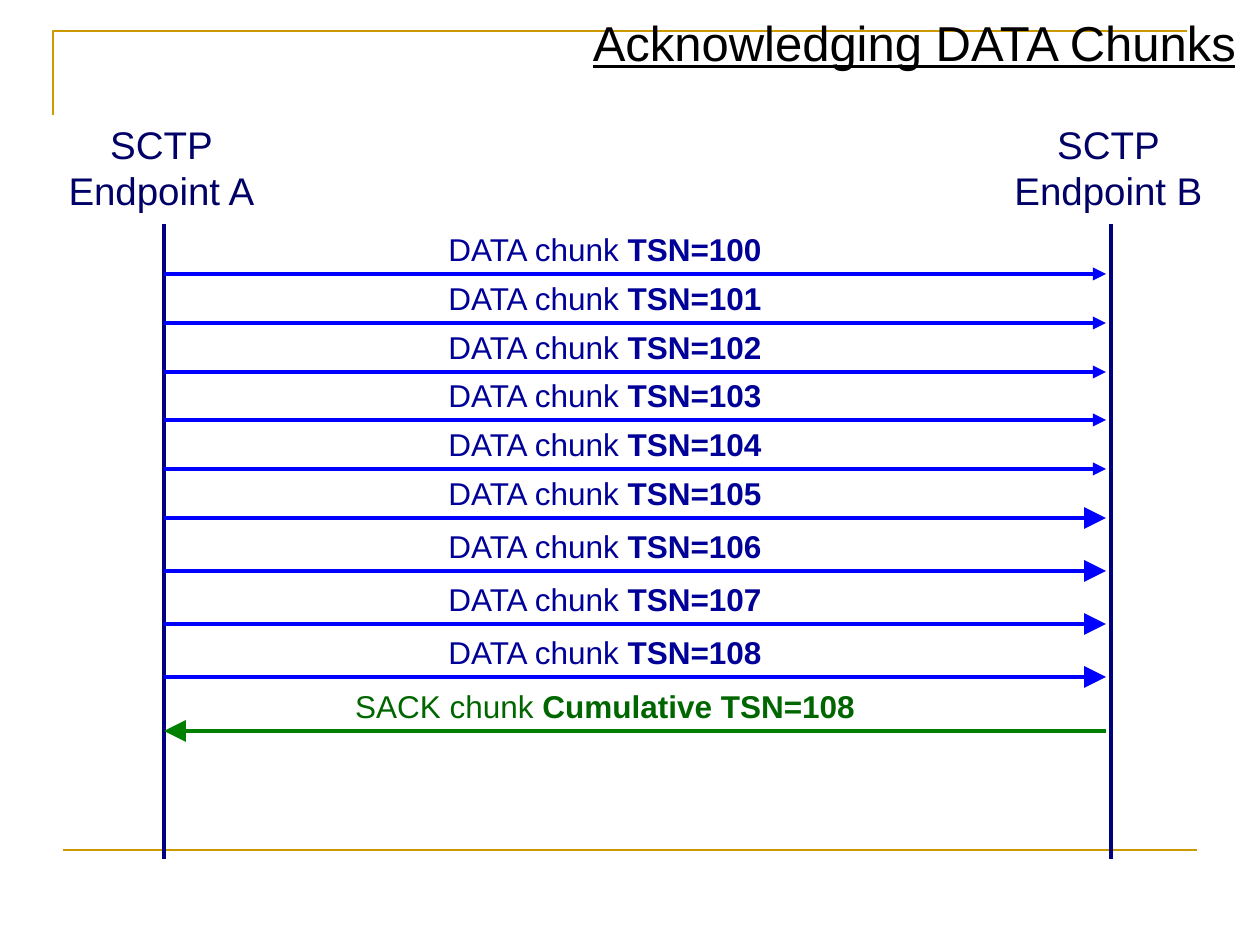
from dataclasses import dataclass

from lxml import etree
from pptx import Presentation
from pptx.dml.color import RGBColor
from pptx.enum.shapes import MSO_CONNECTOR
from pptx.enum.text import MSO_AUTO_SIZE, PP_ALIGN
from pptx.oxml.ns import qn
from pptx.util import Emu, Pt

STRAIGHT = MSO_CONNECTOR.STRAIGHT
GROW = MSO_AUTO_SIZE.SHAPE_TO_FIT_TEXT
CENTER, RIGHT = PP_ALIGN.CENTER, PP_ALIGN.RIGHT
SCALE = 914400 / 126


def px(n):
    """Turn whole px into EMU."""
    return Emu(round(n * SCALE))


@dataclass(frozen=True)
class Theme:
    """Colours and type sizes of the deck."""
    font: str = "Arial"
    gold: str = "CC9900"
    navy: str = "000080"
    blue: str = "0000FF"
    green: str = "008000"
    black: str = "000000"
    name: str = "000066"
    data: str = "000099"
    sack: str = "006600"
    title: int = 28
    head: int = 22
    label: int = 18
    thin: float = 1.5
    thick: float = 2.5


class Pen:
    """Draws styled elements on the current slide."""

    def __init__(self, slide, theme):
        """Keep the slide and its theme."""
        self.shapes, self.theme = slide.shapes, theme

    def stroke(self, line, color, width):
        """Set the colour and width of a line."""
        line.color.rgb = RGBColor.from_string(color)
        line.width = Pt(width)

    def line(self, start, end, color, width, tip=None):
        """Draw a straight line, with an arrowhead of size tip at its end."""
        item = self.shapes.add_connector(STRAIGHT, *map(px, start + end))
        self.stroke(item.line, color, width)
        props = item._element.spPr
        if tip:
            etree.SubElement(props.find(qn("a:ln")), qn("a:tailEnd"),
                             type="triangle", w=tip, len=tip)
        etree.SubElement(props, qn("a:effectLst"))

    def corner(self, points, color, width):
        """Draw an open outline through the points."""
        build = self.shapes.build_freeform(*points[0], scale=SCALE)
        build.add_line_segments(points[1:], close=False)
        item = build.convert_to_shape()
        item.shadow.inherit = False
        item.fill.background()
        self.stroke(item.line, color, width)

    def text(self, box, text, size, color, align=CENTER, bold="", under=None):
        """Write text in a box, with an optional bold ending."""
        frame = self.shapes.add_textbox(*map(px, box)).text_frame
        frame.text = text
        frame.word_wrap, frame.auto_size = False, GROW
        if bold:
            frame.paragraphs[0].add_run().text = bold
            frame.paragraphs[0].runs[-1].font.bold = True
        for para in frame.paragraphs:
            para.alignment = align
            for run in para.runs:
                font = run.font
                font.name, font.size = self.theme.font, Pt(size)
                font.color.rgb = RGBColor.from_string(color)
                font.underline = under

    def node(self, x, name):
        """Draw an endpoint with its lifeline."""
        t = self.theme
        self.line((x, 224), (x, 859), t.navy, t.thick)
        self.text((x - 109, 115, 213, 106), f"SCTP\n{name}", t.head, t.name)

    def chunk(self, y, ends, kind, value, ink, color, tip):
        """Draw a labelled message arrow at height y."""
        t = self.theme
        self.text((305, y - 50, 600, 50), f"{kind} chunk ", t.label, ink,
                  bold=value)
        self.line((ends[0], y), (ends[1], y), color, t.thick, tip)


def main():
    """Build and save the slide."""
    deck = Presentation()
    deck.slide_width, deck.slide_height = px(1260), px(945)
    t = Theme()
    pen = Pen(deck.slides.add_slide(deck.slide_layouts[6]), t)

    pen.corner([(53, 115), (53, 31), (1187, 31)], t.gold, t.thin)
    pen.line((63, 850), (1197, 850), t.gold, t.thin)
    pen.node(164, "Endpoint A")
    pen.node(1111, "Endpoint B")

    ends = (164, 1106)
    for i in range(9):
        y = 274 + round(48.8 * min(i, 5)) + 53 * max(i - 5, 0)
        tip = "med" if i < 5 else "lg"
        pen.chunk(y, ends, "DATA", f"TSN={100 + i}", t.data, t.blue, tip)
    pen.chunk(731, ends[::-1], "SACK", "Cumulative TSN=108",
              t.sack, t.green, "lg")
    pen.text((570, 6, 678, 72), "Acknowledging DATA Chunks", t.title,
             t.black, RIGHT, under=True)
    deck.save("out.pptx")


if __name__ == "__main__":
    main()
